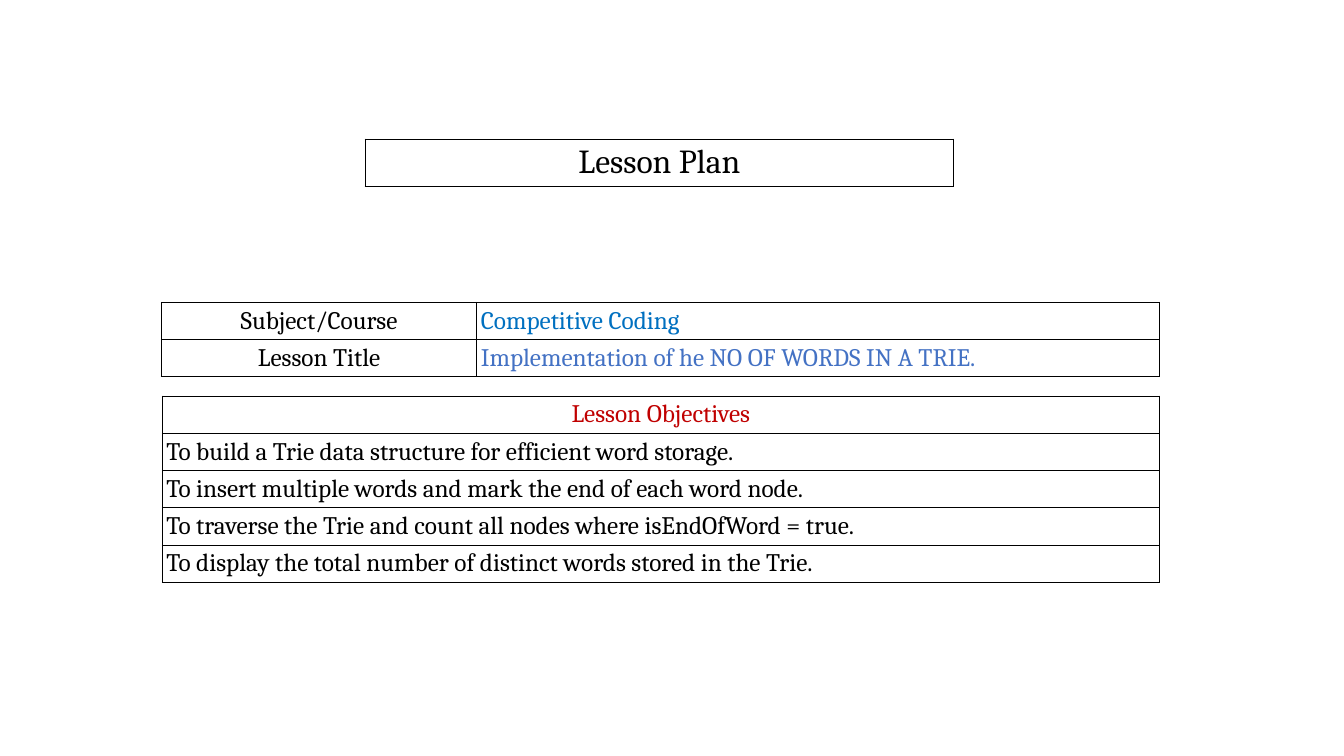
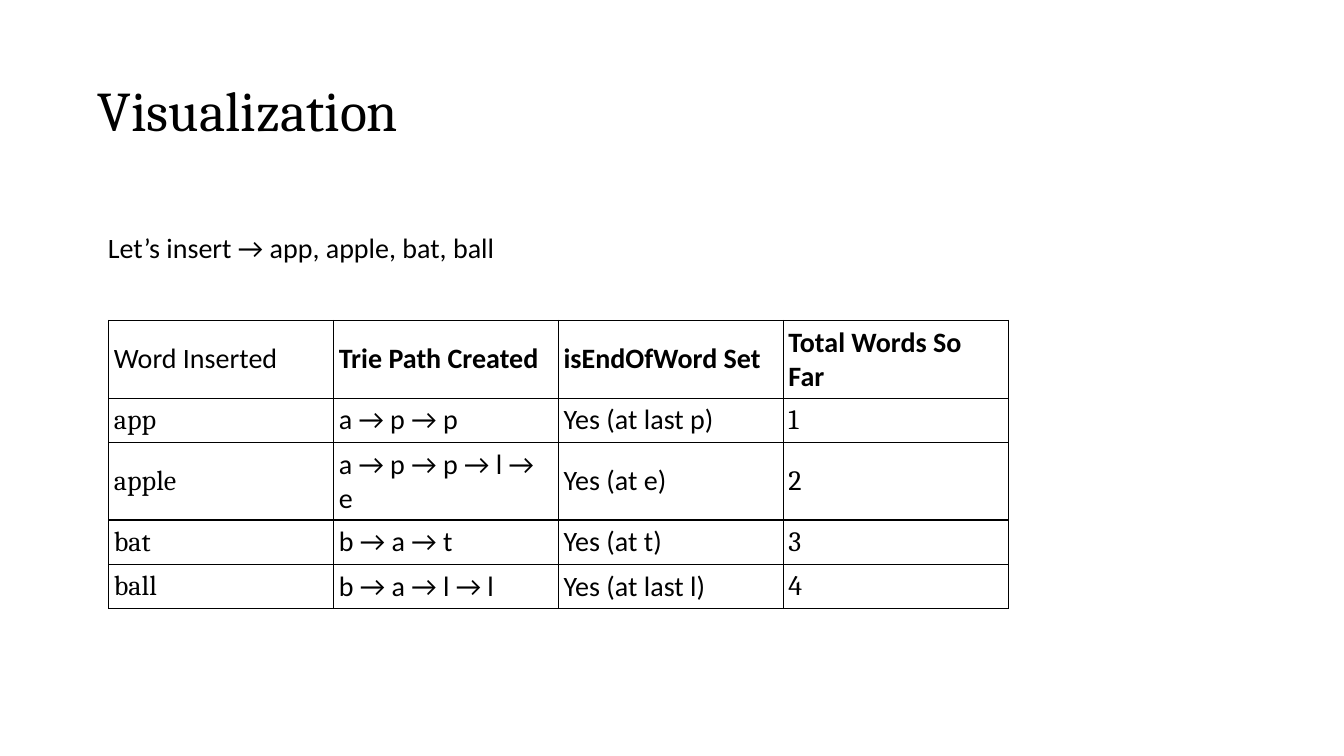
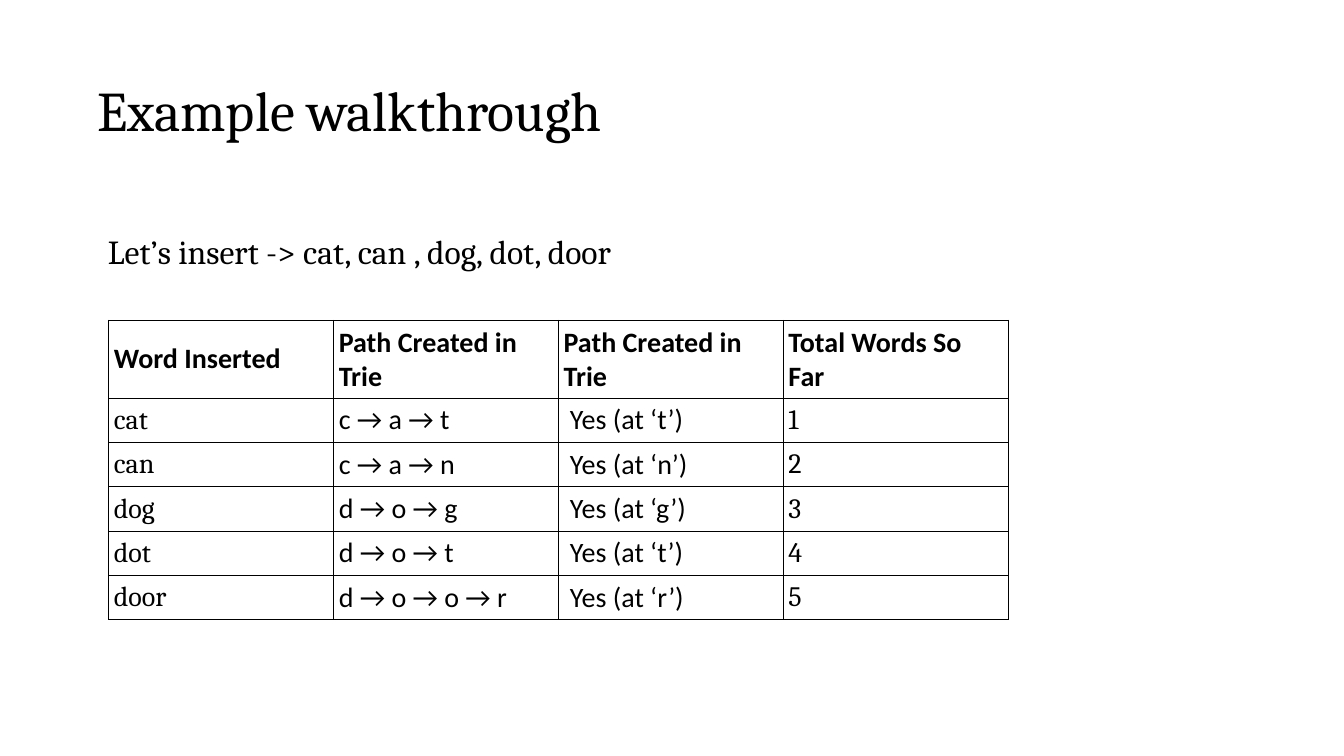
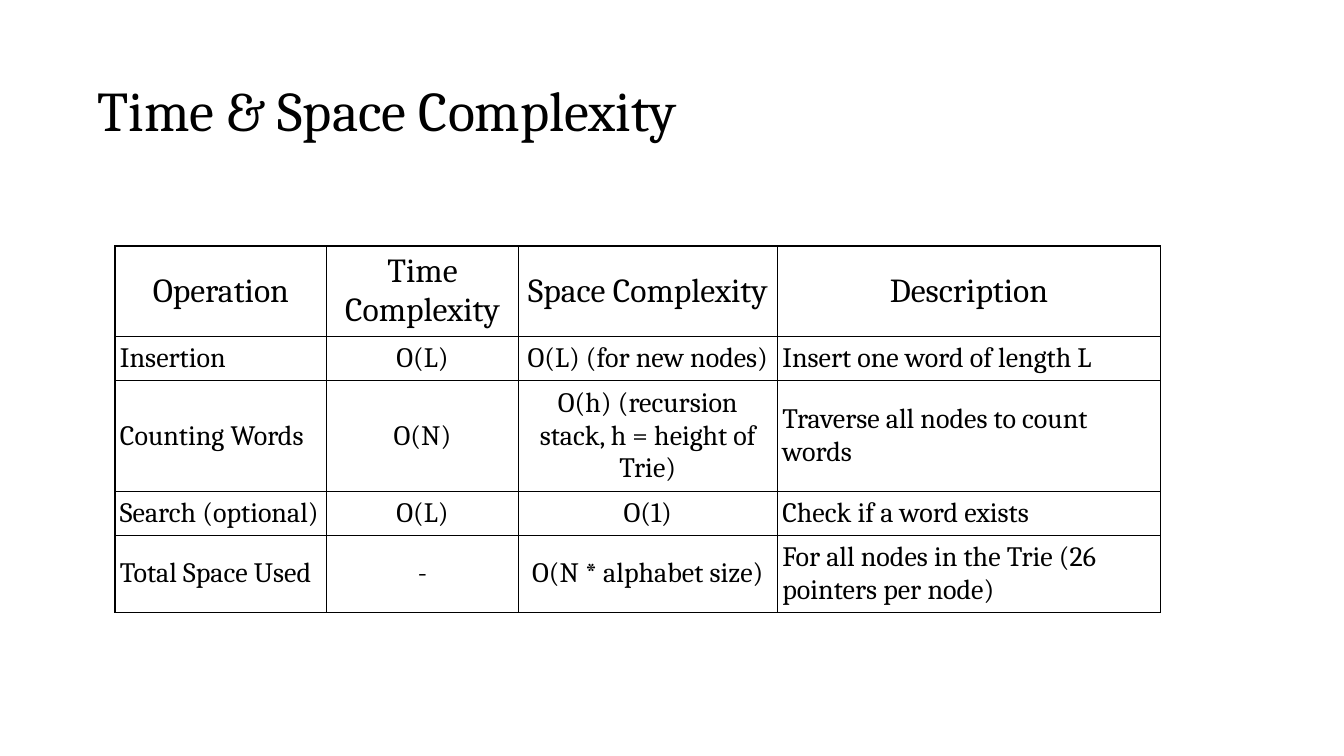
from dataclasses import dataclass, replace

from lxml import etree
from pptx import Presentation
from pptx.dml.color import RGBColor
from pptx.enum import text
from pptx.oxml.ns import qn
from pptx.util import Inches, Pt


@dataclass(frozen=True)
class Theme:
    black: str = "000000"
    white: str = "FFFFFF"
    red: str = "C00000"
    sky: str = "0070C0"
    blue: str = "4472C4"
    serif: str = "Cambria"
    sans: str = "Calibri"
    title: int = 40
    large: int = 24
    body: int = 20
    small: int = 18


THEME = Theme()


@dataclass(frozen=True)
class Look:
    """How the text of one cell or box is set."""
    size: int = THEME.body
    font: str = THEME.serif
    color: str = THEME.black
    bold: bool = False
    centered: bool = False


@dataclass(frozen=True)
class Grid:
    """Cell margin, rule width and fill of a kind of table."""
    inset: float
    rule: float
    fill: str | None = None


PLAN_GRID = Grid(inset=0.04, rule=0.77, fill=THEME.white)
DATA_GRID = Grid(inset=0.05, rule=1)

SERIF = Look()
SERIF_CENTER = replace(SERIF, centered=True)
SERIF_HEAD = replace(SERIF_CENTER, size=THEME.large)
SANS = Look(font=THEME.sans)
SANS_HEAD = replace(SANS, bold=True)
PLAN = Look(size=THEME.small)
PLAN_CENTER = replace(PLAN, centered=True)

TRACE_LOOKS = [SERIF, SANS, SANS, SERIF]
COMPLEXITY_LOOKS = [SERIF, SERIF_CENTER, SERIF_CENTER, SERIF]


def style_paragraph(para, look):
    para.alignment = text.PP_ALIGN.CENTER if look.centered else text.PP_ALIGN.LEFT
    for span in para.runs:
        span.font.name = look.font
        span.font.size = Pt(look.size)
        span.font.bold = look.bold
        span.font.color.rgb = RGBColor.from_string(look.color)


def set_margins(target, inset):
    for side in ("left", "top", "right", "bottom"):
        setattr(target, f"margin_{side}", Inches(inset))


def add_borders(cell, width):
    properties = cell._tc.get_or_add_tcPr()
    for side in ("lnL", "lnR", "lnT", "lnB"):
        line = etree.SubElement(properties, qn(f"a:{side}"), w=str(Pt(width)))
        fill = etree.SubElement(line, qn("a:solidFill"))
        etree.SubElement(fill, qn("a:srgbClr"), val=THEME.black)


def fill_cell(cell, words, look, grid):
    add_borders(cell, grid.rule)
    if grid.fill:
        cell.fill.solid()
        cell.fill.fore_color.rgb = RGBColor.from_string(grid.fill)
    else:
        cell.fill.background()
    set_margins(cell, grid.inset)
    cell.vertical_anchor = text.MSO_ANCHOR.MIDDLE
    cell.text_frame.text = words
    style_paragraph(cell.text_frame.paragraphs[0], look)


def add_grid(page, left, top, widths, heights, rows, looks, grid):
    """Draw a table; rows and looks hold one list for each table row."""
    frame = page.shapes.add_table(
        len(rows), len(widths), Inches(left), Inches(top),
        Inches(sum(widths)), Inches(sum(heights)))
    table = frame.table
    table.first_row = table.horz_banding = False
    for column, width in zip(table.columns, widths):
        column.width = Inches(width)
    for row, height, row_words, row_looks in zip(table.rows, heights, rows, looks):
        row.height = Inches(height)
        for cell, words, look in zip(row.cells, row_words, row_looks):
            fill_cell(cell, words, look, grid)


def add_text(page, left, top, width, height, words, look):
    box = page.shapes.add_textbox(
        Inches(left), Inches(top), Inches(width), Inches(height))
    frame = box.text_frame
    frame.word_wrap = True
    set_margins(frame, 0.05)
    frame.text = words
    style_paragraph(frame.paragraphs[0], look)
    return frame


def add_page(deck, title=None):
    page = deck.slides.add_slide(deck.slide_layouts[6])
    if title:
        frame = add_text(page, 0.92, 0.4, 11.5, 1.45, title, Look(size=THEME.title))
        frame.vertical_anchor = text.MSO_ANCHOR.MIDDLE
        frame.paragraphs[0].line_spacing = 0.9
    return page


def add_trace(page, intro, intro_look, heights, rows, head_looks):
    """Add the list of inserted words and the table that follows each one."""
    add_text(page, 1.02, 2.24, 10.84, 0.44, intro, intro_look)
    looks = [head_looks] + [TRACE_LOOKS] * (len(rows) - 1)
    add_grid(page, 1.08, 3.18, [2.23] * 4, heights, rows, looks, DATA_GRID)


def build_plan(deck):
    page = add_page(deck)
    add_grid(page, 3.62, 1.38, [5.84], [0.47], [["Lesson Plan"]],
             [[SERIF_HEAD]], PLAN_GRID)
    course = [
        ["Subject/Course", "Competitive Coding"],
        ["Lesson Title", "Implementation of he NO OF WORDS IN A TRIE."],
    ]
    course_looks = [[PLAN_CENTER, replace(PLAN, color=color)]
                    for color in (THEME.sky, THEME.blue)]
    add_grid(page, 1.6, 3, [3.13, 6.77], [0.37] * 2, course, course_looks, PLAN_GRID)
    objectives = [
        ["Lesson Objectives"],
        ["To build a Trie data structure for efficient word storage."],
        ["To insert multiple words and mark the end of each word node."],
        ["To traverse the Trie and count all nodes where isEndOfWord = true."],
        ["To display the total number of distinct words stored in the Trie."],
    ]
    objective_looks = [[replace(PLAN_CENTER, color=THEME.red)]] + [[PLAN]] * 4
    add_grid(page, 1.61, 3.93, [9.89], [0.37] * 5, objectives,
             objective_looks, PLAN_GRID)


def build_visualization(deck):
    rows = [
        ["Word Inserted", "Trie Path Created", "isEndOfWord Set", "Total Words So Far"],
        ["app", "a → p → p", "Yes (at last p)", "1"],
        ["apple", "a → p → p → l → e", "Yes (at e)", "2"],
        ["bat", "b → a → t", "Yes (at t)", "3"],
        ["ball", "b → a → l → l", "Yes (at last l)", "4"],
    ]
    add_trace(add_page(deck, "Visualization"), "Let’s insert → app, apple, bat, ball",
              SANS, [0.77, 0.44, 0.77, 0.44, 0.44], rows, [SANS] + [SANS_HEAD] * 3)


def build_walkthrough(deck):
    rows = [
        ["Word Inserted", "Path Created in Trie", "Path Created in Trie",
         "Total Words So Far"],
        ["cat", "c → a → t", " Yes (at ‘t’)", "1"],
        ["can", "c → a → n", " Yes (at ‘n’)", "2"],
        ["dog", "d → o → g", " Yes (at ‘g’)", "3"],
        ["dot", "d → o → t", " Yes (at ‘t’)", "4"],
        ["door", "d → o → o → r", " Yes (at ‘r’)", "5"],
    ]
    add_trace(add_page(deck, "Example walkthrough"),
              "Let’s insert -> cat, can , dog, dot, door", Look(size=THEME.large),
              [0.77] + [0.44] * 5, rows, [SANS_HEAD] * 4)


def build_complexity(deck):
    rows = [
        ["Operation", "Time Complexity", "Space Complexity", "Description"],
        ["Insertion", "O(L)", "O(L) (for new nodes)", "Insert one word of length L"],
        ["Counting Words", "O(N)", "O(h) (recursion stack, h = height of Trie)",
         "Traverse all nodes to count words"],
        ["Search (optional)", "O(L)", "O(1)", "Check if a word exists"],
        ["Total Space Used", "-", "O(N * alphabet size)",
         "For all nodes in the Trie (26 pointers per node)"],
    ]
    looks = [[SERIF_HEAD] * 4] + [COMPLEXITY_LOOKS] * 4
    add_grid(add_page(deck, "Time & Space Complexity"), 1.14, 2.44,
             [2.1, 1.9, 2.57, 3.8], [0.87, 0.42, 1.06, 0.42, 0.73],
             rows, looks, DATA_GRID)


def main():
    deck = Presentation()
    deck.slide_width, deck.slide_height = Inches(13.33), Inches(7.5)
    build_plan(deck)
    build_visualization(deck)
    build_walkthrough(deck)
    build_complexity(deck)
    deck.save("out.pptx")


if __name__ == "__main__":
    main()
